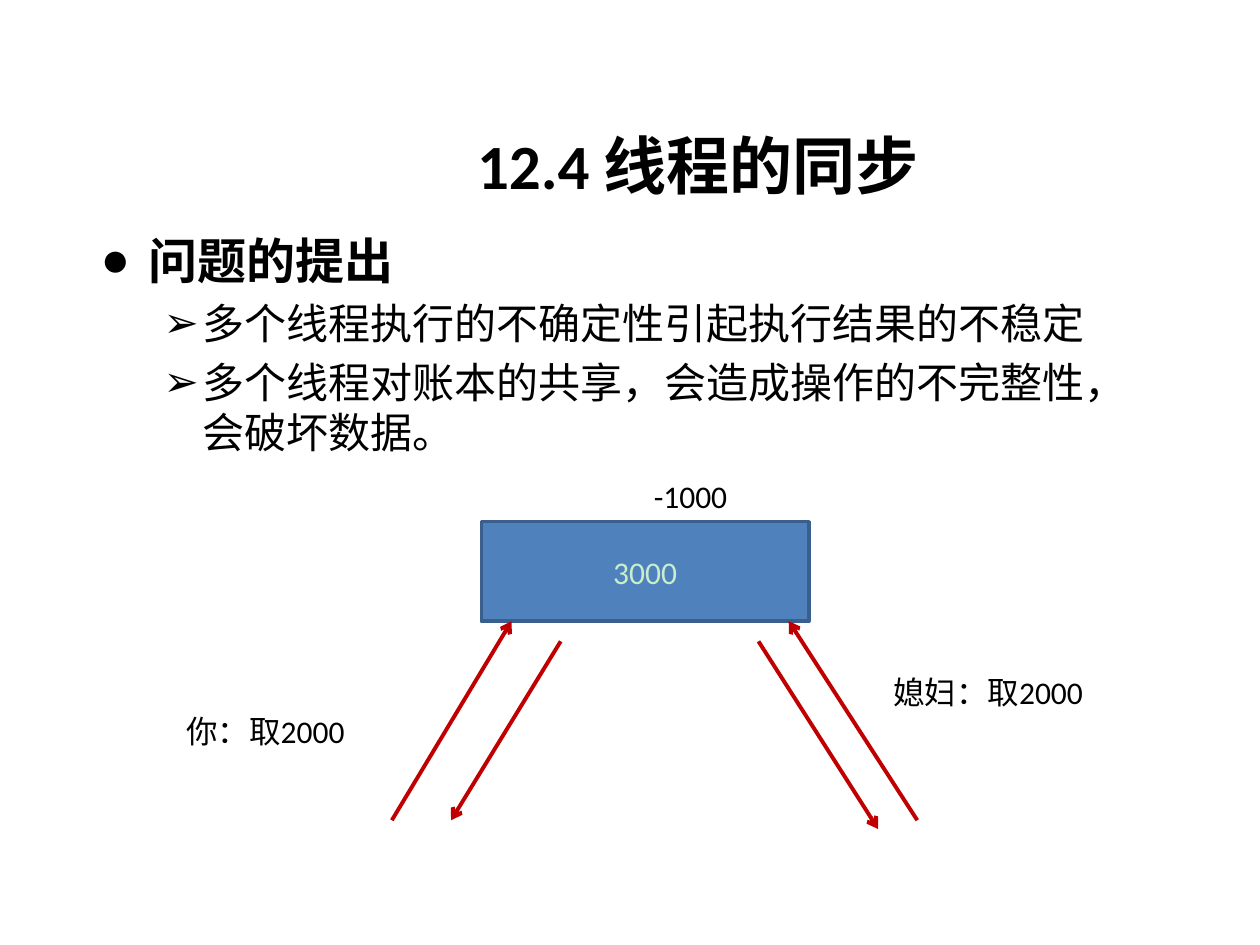
import pptx
import pptx.util
import pptx.dml.color
import pptx.enum.shapes
import pptx.enum.text
import pptx.oxml
import pptx.oxml.ns

Inches = pptx.util.Inches
Pt = pptx.util.Pt
RGBColor = pptx.dml.color.RGBColor
Align = pptx.enum.text.PP_ALIGN
Anchor = pptx.enum.text.MSO_ANCHOR

BLACK = RGBColor(0x00, 0x00, 0x00)
PALE_GREEN = RGBColor(0xC7, 0xED, 0xCC)
BLUE = RGBColor(0x4F, 0x81, 0xBD)
DARK_BLUE = RGBColor(0x3A, 0x5F, 0x8C)
RED = RGBColor(0xC0, 0x00, 0x00)


def format_runs(para, size, font="Calibri", color=BLACK, bold=False):
    for span in para.runs:
        span.font.size = Pt(size)
        span.font.name = font
        span.font.color.rgb = color
        span.font.bold = bold


def add_text(page, box, text, size=18, bold=False, align=Align.LEFT, anchor=Anchor.TOP):
    frame = page.shapes.add_textbox(*map(Inches, box)).text_frame
    frame.word_wrap = True
    frame.vertical_anchor = anchor
    para = frame.paragraphs[0]
    para.text = text
    para.alignment = align
    format_runs(para, size, bold=bold)


def set_bullet(para, mark, left, hanging):
    props = para._p.get_or_add_pPr()
    props.set("marL", str(Inches(left)))
    props.set("indent", str(-Inches(hanging)))
    # Space before is a share of the font size
    space = pptx.oxml.ns.nsdecls("a")
    props.append(pptx.oxml.parse_xml(
        f'<a:spcBef {space}><a:spcPct val="20000"/></a:spcBef>'))
    props.append(pptx.oxml.parse_xml(f'<a:buFont {space} typeface="Arial"/>'))
    props.append(pptx.oxml.parse_xml(f'<a:buChar {space} char="{mark}"/>'))


def add_bullets(page, box, heading, points):
    frame = page.shapes.add_textbox(*map(Inches, box)).text_frame
    frame.word_wrap = True
    para = frame.paragraphs[0]
    para.text = heading
    set_bullet(para, "●", 0.38, 0.38)
    format_runs(para, 28, "Times New Roman", bold=True)
    for point in points:
        para = frame.add_paragraph()
        para.text = point
        para.level = 1
        set_bullet(para, "➢", 0.81, 0.31)
        format_runs(para, 24, "Times New Roman")


def add_account(page, box, amount):
    account = page.shapes.add_shape(
        pptx.enum.shapes.MSO_SHAPE.RECTANGLE, *map(Inches, box))
    account.shadow.inherit = False
    account.fill.solid()
    account.fill.fore_color.rgb = BLUE
    account.line.color.rgb = DARK_BLUE
    account.line.width = Pt(2)
    account.text_frame.text = amount
    account.text_frame.vertical_anchor = Anchor.MIDDLE
    para = account.text_frame.paragraphs[0]
    para.alignment = Align.CENTER
    format_runs(para, 18, color=PALE_GREEN)


def add_arrow(page, start, end):
    arrow = page.shapes.add_connector(
        pptx.enum.shapes.MSO_CONNECTOR.STRAIGHT, *map(Inches, start + end))
    arrow.line.color.rgb = RED
    arrow.line.width = Pt(2.25)
    space = pptx.oxml.ns.nsdecls("a")
    arrow.line._get_or_add_ln().append(
        pptx.oxml.parse_xml(f'<a:tailEnd {space} type="arrow"/>'))
    arrow._element.spPr.append(pptx.oxml.parse_xml(f"<a:effectLst {space}/>"))


def add_withdrawals(page, box):
    left, top, width, height = box
    bottom = top + height
    add_account(page, box, "3000")
    add_text(page, (left + 1.27, top - 0.4, 0.91, 0.4), "-1000")

    # Requests go up to the account, replies come back down
    arrows = [
        ((3.11, 6.51), (4.06, bottom)),
        ((4.45, 5.09), (3.58, 6.51)),
        ((7.28, 6.51), (6.26, bottom)),
        ((6.02, 5.09), (6.97, 6.58)),
    ]
    for start, end in arrows:
        add_arrow(page, start, end)

    add_text(page, (1.38, 5.6, 1.73, 0.4), "你：取2000")
    add_text(page, (6.99, 5.29, 2.44, 0.4), "媳妇：取2000")


def main():
    deck = pptx.Presentation()
    deck.slide_width = Inches(10)
    deck.slide_height = Inches(7.5)
    page = deck.slides.add_slide(deck.slide_layouts[6])

    add_text(page, (2.8, 0.84, 5.48, 0.93), "12.4 线程的同步", 36, True,
             Align.CENTER, Anchor.MIDDLE)
    add_bullets(page, (0.7, 1.78, 8.59, 2.2), "问题的提出", [
        "多个线程执行的不确定性引起执行结果的不稳定",
        "多个线程对账本的共享，会造成操作的不完整性，会破坏数据。",
    ])
    add_withdrawals(page, (3.82, 4.14, 2.6, 0.79))
    deck.save("out.pptx")


if __name__ == "__main__":
    main()
